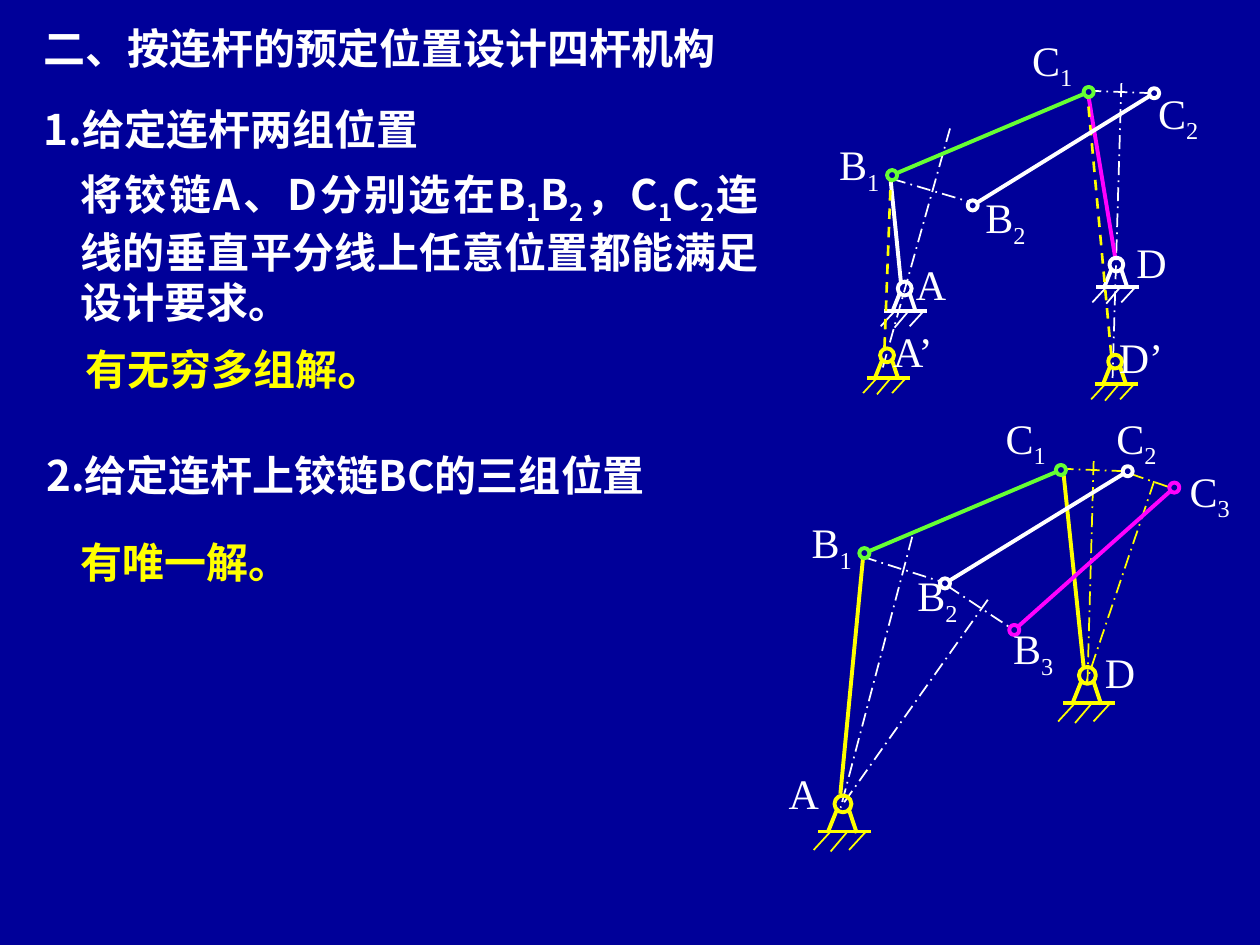
from math import hypot

from pptx import Presentation
from pptx.dml.color import RGBColor
from pptx.enum.dml import MSO_LINE
from pptx.enum.shapes import MSO_CONNECTOR, MSO_SHAPE
from pptx.enum.text import MSO_ANCHOR, MSO_AUTO_SIZE, PP_ALIGN
from pptx.oxml.ns import qn
from pptx.util import Inches, Pt
from lxml.etree import SubElement

COLORS = {
    "navy": "000099",
    "white": "FFFFFF",
    "yellow": "FFFF00",
    "magenta": "FF00FF",
    "green": "66FF33",
}
SERIF = "Times New Roman"
SANS = "Noto Sans CJK SC"
THICK, THIN = 2.25, 1
RING = 0.08

HEADINGS = [
    (0.25, 0.13, 8.37, 0.5, SERIF, "white", ["二、按连杆的预定位置设计四杆机构"]),
    (0.25, 0.77, 3.75, 0.5, SANS, "white", ["1.给定连杆两组位置"]),
    (0.54, 1.29, 5.58, 1.36, SANS, "white",
     ["将铰链A、D分别选在B", "1", "B", "2", "，C", "1", "C", "2",
      "连线的垂直平分线上任意位置都能满足设计要求。"]),
    (0.27, 3.52, 6.1, 0.5, SANS, "white", ["2.给定连杆上铰链BC的三组位置"]),
    (0.54, 4.21, 2.08, 0.5, SERIF, "yellow", ["有唯一解。"]),
]
CENTER_LINES = [
    ("white", (7.08, 1.42), (7.69, 1.6)),
    ("white", (7.54, 1.02), (7, 2.94)),
    ("white", (8.63, 0.72), (9.15, 0.74)),
    ("white", (8.9, 0.66), (8.83, 3)),
    ("white", (6.85, 4.42), (7.48, 4.62)),
    ("white", (7.24, 4.26), (6.68, 6.38)),
    ("white", (7.52, 4.65), (8.03, 4.99)),
    ("white", (7.84, 4.76), (6.67, 6.41)),
    ("yellow", (8.41, 3.72), (8.93, 3.74)),
    ("yellow", (8.68, 3.66), (8.63, 5.44)),
    ("yellow", (8.97, 3.76), (9.32, 3.88)),
    ("yellow", (9.16, 3.82), (8.62, 5.42)),
]
CRANKS = [
    ("white", (7.07, 1.44), (7.15, 2.24)),
    ("magenta", (8.64, 0.77), (8.85, 2.04)),
    ("yellow", (6.67, 6.3), (6.85, 4.42)),
    ("yellow", (8.6, 5.29), (8.44, 3.75)),
]
ALTERNATIVE_CRANKS = [
    ((7.02, 2.76), (7.07, 1.42)),
    ((8.82, 2.82), (8.63, 0.75)),
]
PIVOTS = [
    ("white", 7.18, 2.29, 1),
    ("white", 8.86, 2.1, 1),
    ("yellow", 7.04, 2.82, 1),
    ("yellow", 8.85, 2.87, 1),
    ("yellow", 6.69, 6.38, 1.22),
    ("yellow", 8.63, 5.36, 1.22),
]
PIVOT_LINES = [
    (THICK, (-0.16, 0.18), (0.18, 0.18)),
    (THICK, (-0.04, 0.04), (-0.1, 0.19)),
    (THICK, (0.04, 0.04), (0.09, 0.19)),
    (THIN, (-0.08, 0.18), (-0.19, 0.3)),
    (THIN, (0.03, 0.18), (-0.08, 0.31)),
    (THIN, (0.15, 0.18), (0.04, 0.3)),
]
COUPLERS = [
    ("white", (7.72, 1.63), (9.16, 0.74)),
    ("white", (7.5, 4.63), (8.95, 3.74)),
    ("magenta", (8.05, 5), (9.32, 3.87)),
    ("green", (7.08, 1.39), (8.64, 0.73)),
    ("green", (6.86, 4.39), (8.42, 3.73)),
]
JOINT_LABELS = [
    ("B", "1", 6.56, 1.05),
    ("B", "2", 7.72, 1.47),
    ("C", "1", 8.09, 0.22),
    ("C", "2", 9.09, 0.64),
    ("B", "1", 6.34, 4.05),
    ("B", "2", 7.18, 4.47),
    ("B", "3", 7.94, 4.89),
    ("C", "1", 7.88, 3.22),
    ("C", "2", 8.76, 3.22),
    ("C", "3", 9.34, 3.64),
]
PIVOT_LABELS = [
    ("A", 7.17, 2, 0.44),
    ("D", 8.92, 1.83, 0.44),
    ("A’", 6.97, 2.53, 0.55),
    ("D’", 8.78, 2.58, 0.55),
    ("A", 6.16, 6.04, 0.44),
    ("D", 8.67, 5.08, 0.44),
]


def rgb(name):
    return RGBColor.from_string(COLORS[name])


def add_line(slide, color, start, end, width, dash=None):
    points = [Inches(value) for value in (*start, *end)]
    line = slide.shapes.add_connector(MSO_CONNECTOR.STRAIGHT, *points)
    line.line.color.rgb = rgb(color)
    line.line.width = Pt(width)
    if dash:
        line.line.dash_style = dash
    SubElement(line._element.spPr, qn("a:effectLst"))


def add_circle(slide, color, x, y, size, fill=None):
    box = [Inches(value) for value in (x - size / 2, y - size / 2, size, size)]
    circle = slide.shapes.add_shape(MSO_SHAPE.OVAL, *box)
    circle.shadow.inherit = False
    circle.line.color.rgb = rgb(color)
    circle.line.width = Pt(THICK)
    if fill:
        circle.fill.solid()
        circle.fill.fore_color.rgb = rgb(fill)
    else:
        circle.fill.background()


def add_text(slide, box, parts, font_name, color, bold=False, wrap=True):
    shape = slide.shapes.add_textbox(*[Inches(value) for value in box])
    frame = shape.text_frame
    frame.word_wrap = wrap
    frame.auto_size = MSO_AUTO_SIZE.SHAPE_TO_FIT_TEXT
    paragraph = frame.paragraphs[0]
    paragraph.alignment = PP_ALIGN.JUSTIFY if wrap else PP_ALIGN.CENTER
    font = paragraph.font
    font.name, font.size, font.bold = font_name, Pt(24), bold
    font.color.rgb = rgb(color)
    SubElement(font._element, qn("a:ea")).set("typeface", SANS)
    for part in parts:
        run = paragraph.add_run()
        run.text = part
        if part.isdigit():
            run.font._element.set("baseline", "-25000")
    return frame


def add_label(slide, box, parts):
    frame = add_text(slide, box, parts, SERIF, "white", wrap=False)
    frame.vertical_anchor = MSO_ANCHOR.MIDDLE


def add_pivot(slide, color, x, y, scale):
    add_circle(slide, color, x, y, 0.11 * scale)
    for width, *ends in PIVOT_LINES:
        start, end = [(x + dx * scale, y + dy * scale) for dx, dy in ends]
        add_line(slide, color, start, end, width)


def add_coupler(slide, color, start, end):
    dx, dy = end[0] - start[0], end[1] - start[1]
    trim = RING / 2 / hypot(dx, dy)
    add_line(slide, color,
             (start[0] + dx * trim, start[1] + dy * trim),
             (end[0] - dx * trim, end[1] - dy * trim), THICK)
    for x, y in (start, end):
        add_circle(slide, color, x, y, RING, "navy")


def main():
    presentation = Presentation()
    presentation.slide_width = Inches(10)
    presentation.slide_height = Inches(7.5)
    slide = presentation.slides.add_slide(presentation.slide_layouts[6])
    slide.background.fill.solid()
    slide.background.fill.fore_color.rgb = rgb("navy")

    for *box, font_name, color, parts in HEADINGS:
        add_text(slide, box, parts, font_name, color, bold=True)
    solutions = add_text(slide, (0.58, 2.62, 2.92, 0.57), ["有无穷多组解", "。"],
                         SERIF, "yellow", bold=True)
    solutions.paragraphs[0].runs[1].font.size = Pt(28)

    for color, start, end in CENTER_LINES:
        add_line(slide, color, start, end, THIN, MSO_LINE.LONG_DASH_DOT)
    for color, start, end in CRANKS:
        add_line(slide, color, start, end, THICK)
    for pivot in PIVOTS:
        add_pivot(slide, *pivot)
    for start, end in ALTERNATIVE_CRANKS:
        add_line(slide, "yellow", start, end, 1.5, MSO_LINE.DASH)
    for coupler in COUPLERS:
        add_coupler(slide, *coupler)
    for letter, index, left, top in JOINT_LABELS:
        add_label(slide, (left, top, 0.52, 0.56), [letter, index])
    for text, left, top, width in PIVOT_LABELS:
        add_label(slide, (left, top, width, 0.5), [text])

    presentation.save("out.pptx")


if __name__ == "__main__":
    main()
